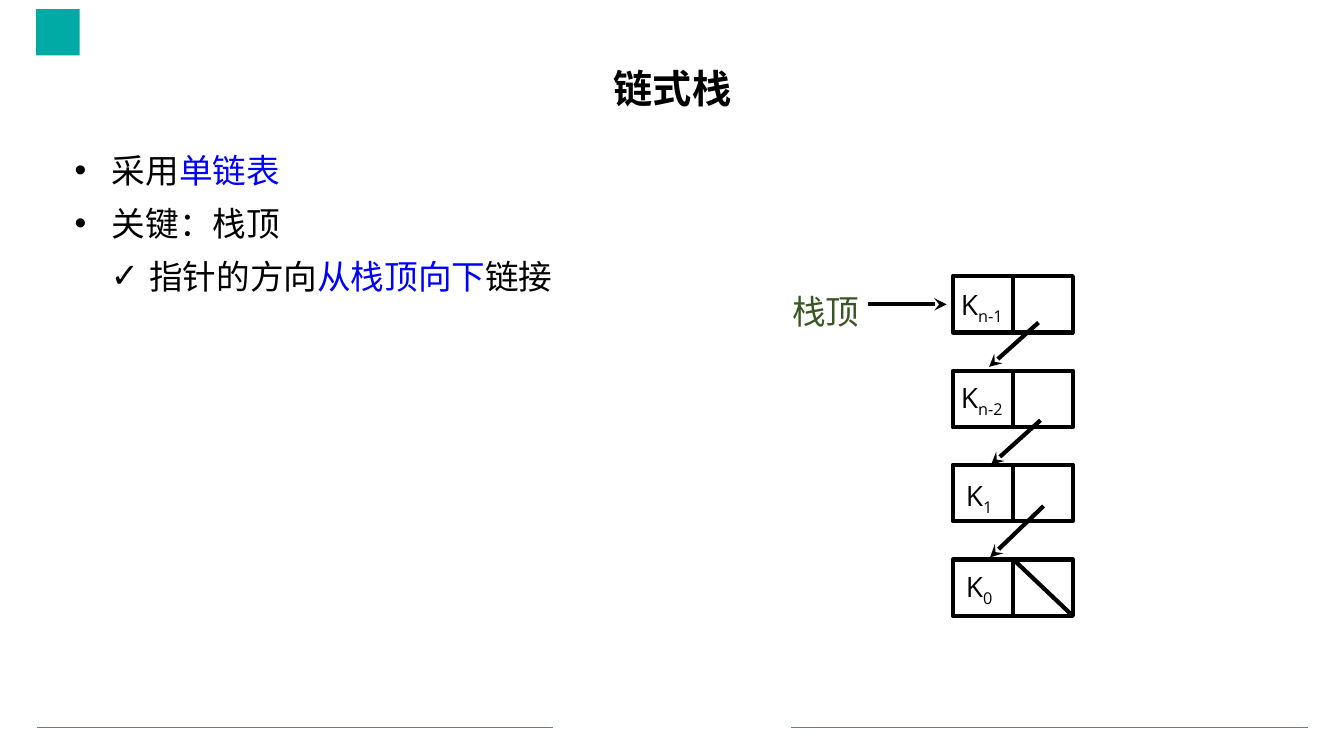
from lxml.etree import SubElement
from pptx import Presentation
from pptx.dml.color import RGBColor
from pptx.enum.shapes import MSO_CONNECTOR, MSO_SHAPE
from pptx.enum.text import MSO_ANCHOR, MSO_AUTO_SIZE, PP_ALIGN
from pptx.oxml.ns import qn
from pptx.util import Pt

PX = 9144
CJK, LATIN = "Noto Sans CJK SC", "Open Sans"
BLACK = RGBColor(0x00, 0x00, 0x00)
WHITE = RGBColor(0xFF, 0xFF, 0xFF)
BLUE = RGBColor(0x00, 0x00, 0xFF)
GREEN = RGBColor(0x38, 0x57, 0x23)
TEAL = RGBColor(0x00, 0xAB, 0xA5)

TITLE = "链式栈"
BULLETS = [
    (0, "•", 37, 37, [("采用", BLACK), ("单链表", BLUE)]),
    (0, "•", 37, 37, [("关键：栈顶", BLACK)]),
    (1, "✓", 74, 38, [("指针的方向", BLACK), ("从栈顶向下", BLUE), ("链接", BLACK)]),
]
TOP_LABEL = "栈顶"
NODES = [
    ("n-1", 274, (953, 285, 50, 34)),
    ("n-2", 368, (953, 377, 50, 34)),
    ("1", 461, (958, 475, 31, 34)),
    ("0", 555, (958, 565, 31, 34)),
]
CELLS = [(945, 60), (1005, 59)]
CELL_H = 56
ARROWS = [
    (861, 302, 939, 302),
    (1030, 320, 981, 364),
    (1032, 417, 983, 461),
    (1035, 502, 982, 553),
]
NULL_MARK = (1005, 555, 1064, 611)
FOOT_RULES = [(37, 722, 548, 722), (785, 722, 1297, 722)]
LOGO_BOX = (36, 9, 43, 46)


def emu(box):
    return [v * PX for v in box]


def add_run(p, text, size, font, color, bold=False, baseline=None):
    r = p.add_run()
    r.text = text
    r.font.size, r.font.name, r.font.bold = Pt(size), font, bold
    r.font.color.rgb = color
    SubElement(r.font._element, qn("a:ea")).set("typeface", font)
    if baseline:
        r.font._element.set("baseline", str(baseline))


def add_line(s, ends, color, width, arrow=False):
    c = s.shapes.add_connector(MSO_CONNECTOR.STRAIGHT, *emu(ends))
    c.line.color.rgb, c.line.width = color, Pt(width)
    if arrow:
        SubElement(c.line._get_or_add_ln(), qn("a:tailEnd")).set("type", "stealth")
    SubElement(c._element.spPr, qn("a:effectLst"))


def add_box(s, box, fill, line=None):
    sp = s.shapes.add_shape(MSO_SHAPE.RECTANGLE, *emu(box))
    sp.shadow.inherit = False
    sp.fill.solid()
    sp.fill.fore_color.rgb = fill
    if line is None:
        sp.line.fill.background()
    else:
        sp.line.color.rgb, sp.line.width = line, Pt(3)


def add_label(s, box, inset=True):
    tf = s.shapes.add_textbox(*emu(box)).text_frame
    tf.word_wrap = False
    tf.auto_size = MSO_AUTO_SIZE.SHAPE_TO_FIT_TEXT
    if not inset:
        tf.margin_left = tf.margin_top = tf.margin_right = tf.margin_bottom = 0
    return tf.paragraphs[0]


def place(sp, box):
    sp.left, sp.top, sp.width, sp.height = emu(box)
    tf = sp.text_frame
    tf.word_wrap, tf.auto_size = True, MSO_AUTO_SIZE.NONE
    return tf


def add_title(s):
    tf = place(s.shapes.title, (92, 62, 1150, 57))
    tf.vertical_anchor = MSO_ANCHOR.MIDDLE
    p = tf.paragraphs[0]
    p.alignment, p.line_spacing, p.space_before = PP_ALIGN.CENTER, 0.9, Pt(0)
    add_run(p, TITLE, 28, CJK, BLACK, bold=True)


def add_bullets(s):
    tf = place(s.placeholders[1], (64, 140, 1209, 553))
    tf.vertical_anchor = MSO_ANCHOR.TOP
    for i, (level, mark, indent, hang, runs) in enumerate(BULLETS):
        p = tf.add_paragraph() if i else tf.paragraphs[0]
        pPr = p._p.get_or_add_pPr()
        pPr.set("marL", str(indent * PX))
        pPr.set("indent", str(-hang * PX))
        SubElement(pPr, qn("a:buChar")).set("char", mark)
        p.level, p.line_spacing = level, 1.1
        p.space_before = Pt(6 if i else 0)
        for text, color in runs:
            add_run(p, text, 24, CJK, color)


def add_stack(s):
    add_run(add_label(s, (776, 284, 88, 51)), TOP_LABEL, 24, CJK, GREEN)
    for sub, top, label in NODES:
        for left, width in CELLS:
            add_box(s, (left, top, width, CELL_H), WHITE, BLACK)
        p = add_label(s, label, inset=False)
        add_run(p, "K", 20, LATIN, BLACK)
        add_run(p, sub, 20, LATIN, BLACK, baseline=-25000)
    for ends in ARROWS:
        add_line(s, ends, BLACK, 3, arrow=True)
    add_line(s, NULL_MARK, BLACK, 3)


def main():
    """Build the linked stack slide."""
    prs = Presentation()
    prs.slide_width, prs.slide_height = emu((1333, 750))
    s = prs.slides.add_slide(prs.slide_layouts[1])
    for ends in FOOT_RULES:
        add_line(s, ends, TEAL, 0.5)
    add_box(s, LOGO_BOX, TEAL)
    add_title(s)
    add_bullets(s)
    add_stack(s)
    prs.save("out.pptx")


if __name__ == "__main__":
    main()
